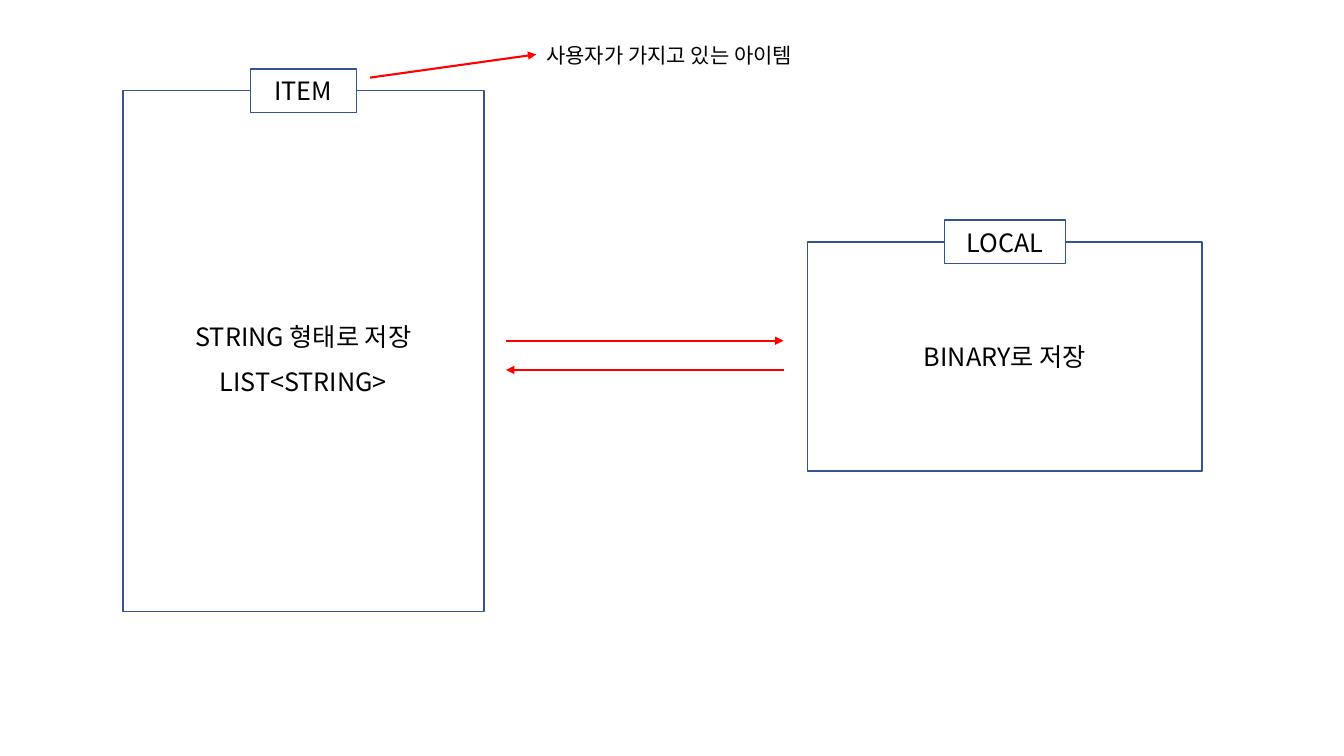
from lxml.etree import SubElement
from pptx import Presentation
from pptx.dml.color import RGBColor
from pptx.enum.shapes import MSO_CONNECTOR, MSO_SHAPE
from pptx.enum.text import MSO_ANCHOR, PP_ALIGN
from pptx.oxml.ns import qn
from pptx.util import Inches, Pt

FONT = "Noto Sans CJK KR"
COLOURS = {"text": "000000", "frame": "325491", "paper": "FFFFFF", "arrow": "FF0000"}
COLOURS = {name: RGBColor.from_string(code) for name, code in COLOURS.items()}

deck = Presentation()
deck.slide_width, deck.slide_height = Inches(13.33), Inches(7.5)
page = deck.slides.add_slide(deck.slide_layouts[6])

# The page is a grid of 100 columns by 100 rows.
column, row = deck.slide_width / 100, deck.slide_height / 100


def write(shape, text, size=18, align=PP_ALIGN.CENTER, anchor=MSO_ANCHOR.MIDDLE, spacing=1):
    """Fill a shape with text, one paragraph per line."""
    frame = shape.text_frame
    frame.word_wrap = True
    frame.vertical_anchor = anchor
    frame.text = text
    for para in frame.paragraphs:
        para.alignment, para.line_spacing = align, spacing
        for span in para.runs:
            span.font.size, span.font.name = Pt(size), FONT
            span.font.color.rgb = COLOURS["text"]
            SubElement(span.font._element, qn("a:ea"), typeface=FONT)


def add_box(left, top, width, height, text, **text_format):
    """Draw an outlined white rectangle placed in grid units."""
    box = page.shapes.add_shape(
        MSO_SHAPE.RECTANGLE, int(left * column), int(top * row),
        int(width * column), int(height * row))
    box.shadow.inherit = False
    box.fill.solid()
    box.fill.fore_color.rgb = COLOURS["paper"]
    box.line.color.rgb = COLOURS["frame"]
    box.line.width = Pt(1)
    write(box, text, **text_format)


# Storage boxes, each with a name tag centred on its top edge
tag_height = 5.76
storages = [
    (9.15, 12, 26.85, 68.9, "STRING 형태로 저장\nLIST<STRING>", 1.5, "ITEM", 7.9),
    (60.1, 32, 29.35, 30.3, "BINARY로 저장", 1, "LOCAL", 9),
]
for left, top, width, height, content, spacing, name, tag_width in storages:
    add_box(left, top, width, height, content, spacing=spacing)
    add_box(left + (width - tag_width) / 2, top - tag_height / 2,
            tag_width, tag_height, name)

# Note on the item box
note = page.shapes.add_textbox(
    int(39.9 * column), int(4.93 * row), int(22.1 * column), int(4.67 * row))
write(note, "사용자가 가지고 있는 아이템", size=15, align=PP_ALIGN.LEFT, anchor=MSO_ANCHOR.TOP)

# Arrows: to the note, then saving and loading between the boxes
item_side, local_side = 37.65, 58.3
arrows = [
    (27.53, 10.27, 39.9, 7.2),
    (item_side, 45.07, local_side, 45.07),
    (local_side, 48.93, item_side, 48.93),
]
for start_x, start_y, end_x, end_y in arrows:
    arrow = page.shapes.add_connector(
        MSO_CONNECTOR.STRAIGHT, int(start_x * column), int(start_y * row),
        int(end_x * column), int(end_y * row))
    arrow.line.color.rgb = COLOURS["arrow"]
    arrow.line.width = Pt(1.5)
    SubElement(arrow.line._get_or_add_ln(), qn("a:tailEnd"), type="triangle")
    SubElement(arrow._element.spPr, qn("a:effectLst"))

deck.save("out.pptx")
